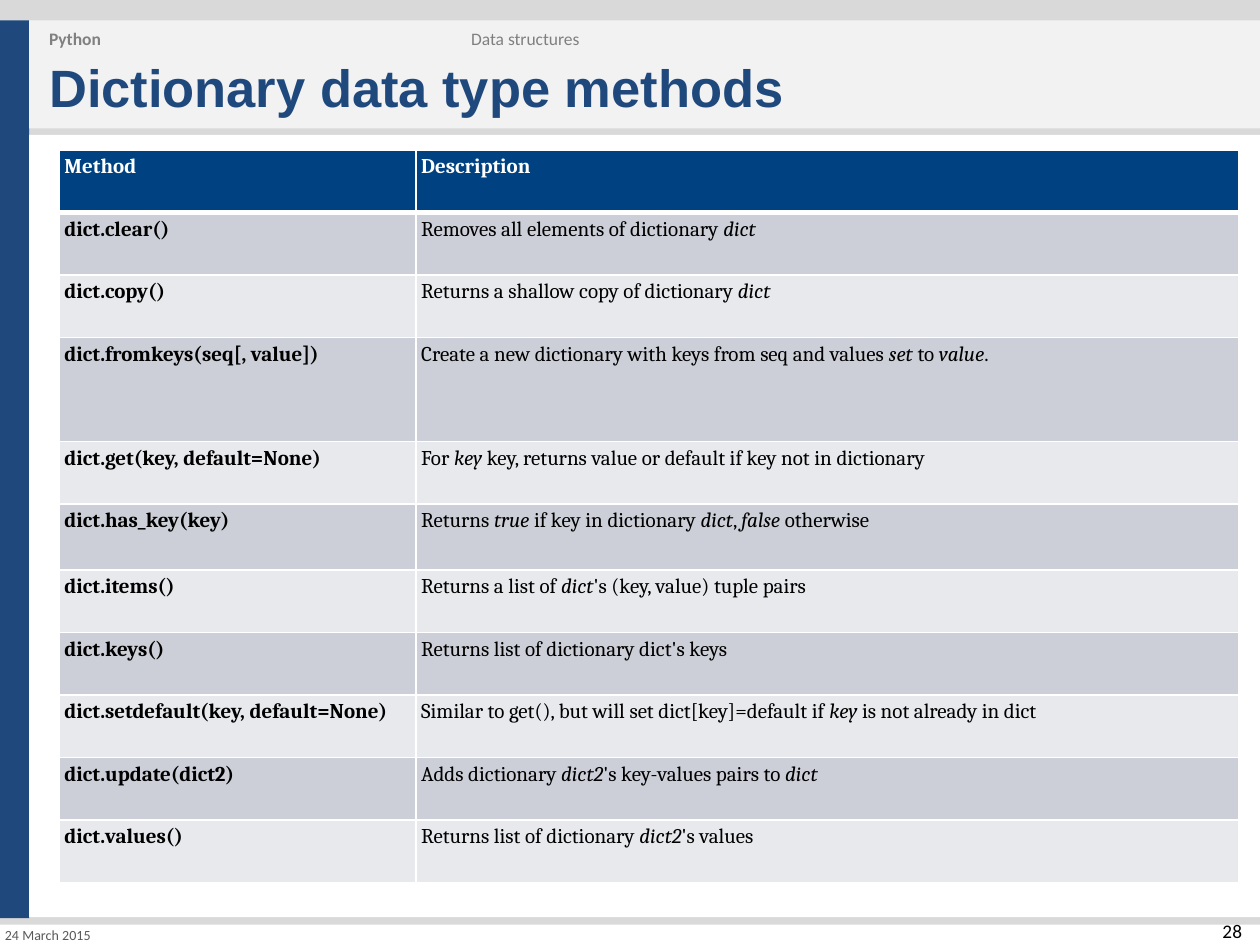
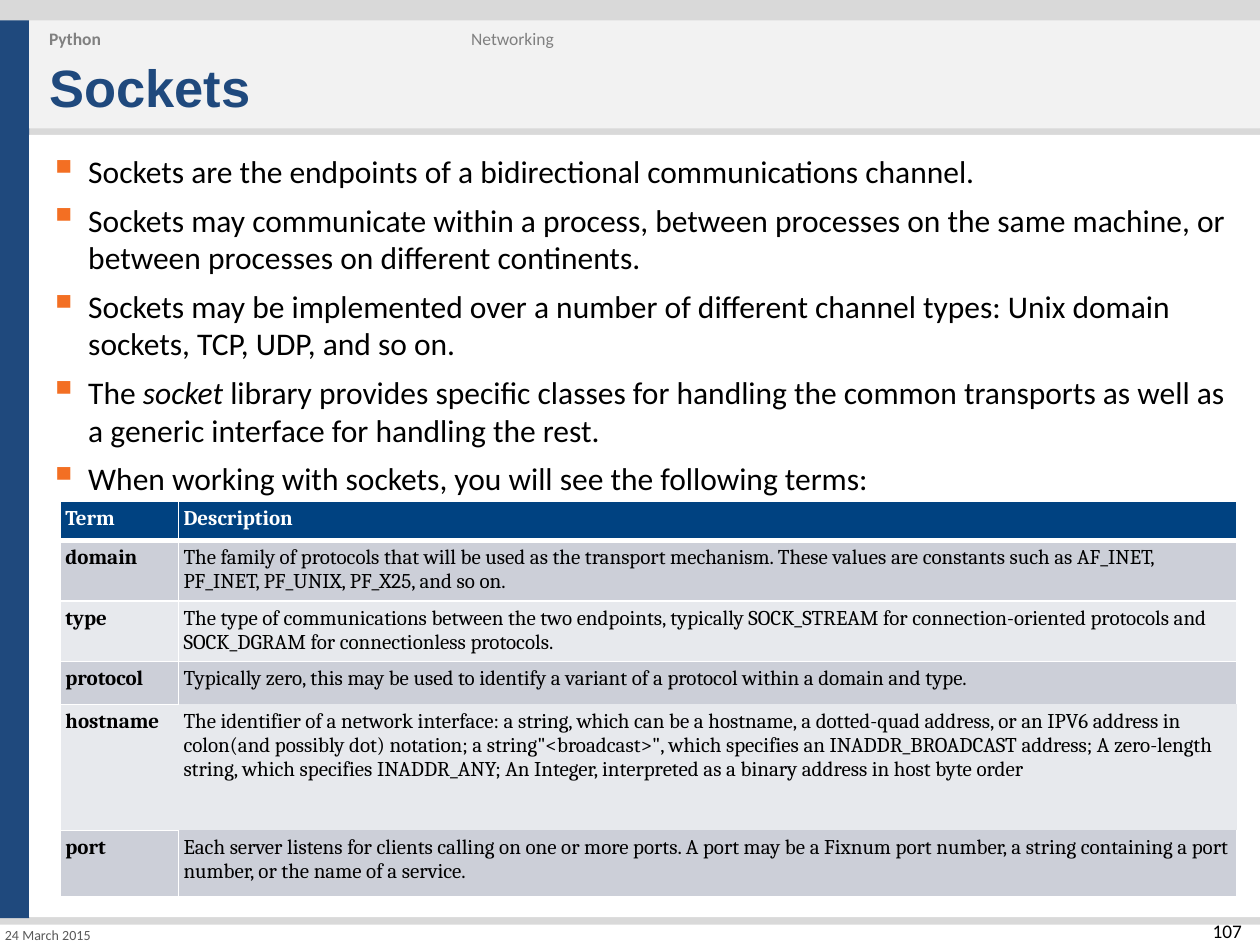
from lxml import etree
from pptx import Presentation
from pptx.dml.color import RGBColor
from pptx.enum.shapes import MSO_SHAPE as SHAPE
from pptx.enum.text import MSO_ANCHOR as ANCHOR, MSO_AUTO_SIZE as AUTO, PP_ALIGN as ALIGN
from pptx.oxml.ns import qn
from pptx.util import Cm, Pt

WIDTH, HEIGHT = 25.4, 19.05
TITLE_ONLY = 5
NAVY, HEADER_BLUE, ORANGE = "1F497D", "004281", "F36F23"
WHITE, BLACK, PALE, GREY = "FFFFFF", "000000", "F2F2F2", "D9D9D9"
ROW_FILLS = ("CCCFD8", "E7E9ED")

# left, top, width, height, colour
BANDS = [
    (0, 0.41, 0.59, 18.1, NAVY),
    (0.59, 0.41, 24.81, 2.18, PALE),
    (0.59, 2.72, 24.81, 15.77, WHITE),
    (0, 18.64, WIDTH, 0.41, WHITE),
]
# border tag -> step to the neighbouring cell
EDGES = {"a:lnL": (0, -1), "a:lnR": (0, 1), "a:lnT": (-1, 0), "a:lnB": (1, 0)}

TITLE = dict(name="Arial", size=Pt(30), bold=True, color=NAVY)
CRUMB = dict(name="Calibri", size=Pt(10), color="808080")
BODY = dict(name="Calibri", size=Pt(18), color=BLACK)
DATE = dict(name="Calibri", size=Pt(8), color="595959")
NUMBER = dict(name="Calibri", size=Pt(11), color=BLACK)
CELL = dict(name="Cambria", size=Pt(12), color=BLACK)


def rgb(hex_string):
    return RGBColor.from_string(hex_string)


def put(obj, **values):
    for name, value in values.items():
        setattr(obj, name, value)


def write(p, text, style):
    """Fill a paragraph; *starred* parts become italic."""
    for i, part in enumerate(text.split("*")):
        if not part:
            continue
        r = p.add_run()
        r.text = part
        for name, value in style.items():
            if name == "color":
                r.font.color.rgb = rgb(value)
            else:
                setattr(r.font, name, value)
        r.font.italic = i % 2 == 1


def sub(parent, tag, **attributes):
    return etree.SubElement(parent, qn(tag), attributes)


def set_border(tcPr, tag, points):
    """Draw one white cell edge, or hide it when points is 0."""
    ln = sub(tcPr, tag, w=str(Pt(points)))
    if points:
        sub(sub(ln, "a:solidFill"), "a:srgbClr", val=WHITE)
    else:
        sub(ln, "a:noFill")


class Deck:
    def __init__(self):
        self.prs = Presentation()
        put(self.prs, slide_width=Cm(WIDTH), slide_height=Cm(HEIGHT))
        fill = self.prs.slide_master.background.fill
        fill.solid()
        fill.fore_color.rgb = rgb(GREY)
        self.s = None

    def slide(self, title, topic, number):
        self.s = self.prs.slides.add_slide(self.prs.slide_layouts[TITLE_ONLY])
        for band in BANDS:
            self.band(*band)
        self.title(title)
        self.text("Python", 0.79, 0.36, 8.58, 0.84, CRUMB | dict(bold=True))
        self.text(topic, 9.3, 0.36, 10.34, 0.84, CRUMB)
        self.text("24 March 2015", 0, 18.64, 3.18, 0.41, DATE, inset=0.1)
        self.text(number, 23.09, 18.54, 1.95, 0.71, NUMBER, inset=0,
                  anchor=ANCHOR.TOP, align=ALIGN.RIGHT)

    def band(self, x, y, w, h, color):
        sp = self.s.shapes.add_shape(SHAPE.RECTANGLE, Cm(x), Cm(y), Cm(w), Cm(h))
        sp.shadow.inherit = False
        sp.fill.solid()
        sp.fill.fore_color.rgb = rgb(color)
        sp.line.fill.background()

    def frame(self, sp, inset, anchor):
        tf = sp.text_frame
        put(tf, word_wrap=True, auto_size=AUTO.NONE, vertical_anchor=anchor,
            margin_left=Cm(inset), margin_right=Cm(inset),
            margin_top=Cm(inset), margin_bottom=Cm(inset))
        return tf

    def title(self, text):
        sp = self.s.shapes.title
        sp._element.getparent().append(sp._element)  # bring in front of the bands
        put(sp, left=Cm(0.79), top=Cm(0.91), width=Cm(24.23), height=Cm(1.68))
        p = self.frame(sp, 0.2, ANCHOR.BOTTOM).paragraphs[0]
        p.alignment = ALIGN.LEFT
        write(p, text, TITLE)

    def text(self, text, x, y, w, h, style, inset=0.2,
             anchor=ANCHOR.MIDDLE, align=ALIGN.LEFT):
        sp = self.s.shapes.add_textbox(Cm(x), Cm(y), Cm(w), Cm(h))
        p = self.frame(sp, inset, anchor).paragraphs[0]
        p.alignment = align
        write(p, text, style)

    def bullets(self, items, x, y, w, h):
        sp = self.s.shapes.add_textbox(Cm(x), Cm(y), Cm(w), Cm(h))
        tf = self.frame(sp, 0.2, ANCHOR.TOP)
        for i, item in enumerate(items):
            p = tf.add_paragraph() if i else tf.paragraphs[0]
            p.space_after = Pt(6)
            pPr = p._p.get_or_add_pPr()
            pPr.set("marL", str(Cm(0.79)))
            pPr.set("indent", str(-Cm(0.79)))
            sub(sub(pPr, "a:buClr"), "a:srgbClr", val=ORANGE)
            sub(pPr, "a:buSzPct", val="125000")
            sub(pPr, "a:buChar", char="▪")
            write(p, item, BODY)

    def table(self, rows, x, y, widths, heights, open_cell=None):
        """Banded table; open_cell (row, column) has no borders around it."""
        table = self.s.shapes.add_table(
            len(rows), len(widths), Cm(x), Cm(y), Cm(sum(widths)), Cm(sum(heights))).table
        for column, width in zip(table.columns, widths):
            column.width = Cm(width)
        for i, (row, height) in enumerate(zip(rows, heights)):
            table.rows[i].height = Cm(height)
            for j, text in enumerate(row):
                self.cell(table.cell(i, j), text, i, j, open_cell)

    def cell(self, cell, text, i, j, open_cell):
        header = i == 0
        put(cell, margin_left=Cm(0.1), margin_right=Cm(0.1),
            margin_top=Cm(0.1), margin_bottom=Cm(0.1), vertical_anchor=ANCHOR.TOP)
        tcPr = cell._tc.get_or_add_tcPr()
        for tag, (di, dj) in EDGES.items():
            neighbour = (i + di, j + dj)
            under_header = {i, neighbour[0]} == {0, 1}
            hidden = open_cell in ((i, j), neighbour)
            set_border(tcPr, tag, 0 if hidden else 3 if under_header else 1)
        cell.fill.solid()
        cell.fill.fore_color.rgb = rgb(HEADER_BLUE if header else ROW_FILLS[(i - 1) % 2])
        style = CELL | dict(bold=header or j == 0, color=WHITE if header else BLACK)
        write(cell.text_frame.paragraphs[0], text, style)


METHODS = [
    ("Method", "Description"),
    ("dict.clear()", "Removes all elements of dictionary *dict*"),
    ("dict.copy()", "Returns a shallow copy of dictionary *dict*"),
    ("dict.fromkeys(seq[, value])",
     "Create a new dictionary with keys from seq and values *set* to *value*."),
    ("dict.get(key, default=None)",
     "For *key* key, returns value or default if key not in dictionary"),
    ("dict.has_key(key)", "Returns *true* if key in dictionary *dict*, *false* otherwise"),
    ("dict.items()", "Returns a list of *dict*'s (key, value) tuple pairs"),
    ("dict.keys()", "Returns list of dictionary dict's keys"),
    ("dict.setdefault(key, default=None)",
     "Similar to get(), but will set dict[key]=default if *key* is not already in dict"),
    ("dict.update(dict2)", "Adds dictionary *dict2*'s key-values pairs to *dict*"),
    ("dict.values()", "Returns list of dictionary *dict2*'s values"),
]

SOCKET_POINTS = [
    "Sockets are the endpoints of a bidirectional communications channel.",
    "Sockets may communicate within a process, between processes on the same machine, "
    "or between processes on different continents.",
    "Sockets may be implemented over a number of different channel types: "
    "Unix domain sockets, TCP, UDP, and so on.",
    "The *socket* library provides specific classes for handling the common transports "
    "as well as a generic interface for handling the rest.",
    "When working with sockets, you will see the following terms:",
]

SOCKET_TERMS = [
    ("Term", "Description"),
    ("domain",
     "The family of protocols that will be used as the transport mechanism. These values "
     "are constants such as AF_INET, PF_INET, PF_UNIX, PF_X25, and so on."),
    ("type",
     "The type of communications between the two endpoints, typically SOCK_STREAM for "
     "connection-oriented protocols and SOCK_DGRAM for connectionless protocols."),
    ("protocol",
     "Typically zero, this may be used to identify a variant of a protocol within a "
     "domain and type."),
    ("hostname",
     "The identifier of a network interface: a string, which can be a hostname, a "
     "dotted-quad address, or an IPV6 address in colon(and possibly dot) notation; a "
     'string"<broadcast>", which specifies an INADDR_BROADCAST address; A zero-length '
     "string, which specifies INADDR_ANY; An Integer, interpreted as a binary address in "
     "host byte order"),
    ("port",
     "Each server listens for clients calling on one or more ports. A port may be a Fixnum "
     "port number, a string containing a port number, or the name of a service."),
]


def main():
    deck = Deck()

    deck.slide("Dictionary data type methods", "Data structures", "28")
    heights = [1.26] * 3 + [2.1, 1.26, 1.33] + [1.26] * 5
    deck.table(METHODS, 1.2, 3.02, [7.19, 16.59], heights)

    deck.slide("Sockets", "Networking", "107")
    deck.bullets(SOCKET_POINTS, 0.79, 2.87, 24.18, 8.41)
    deck.table(SOCKET_TERMS, 1.22, 10.11, [2.38, 21.33],
               [0.79, 1.22, 1.22, 0.86, 2.54, 1.33], open_cell=(4, 1))

    deck.prs.save("out.pptx")


if __name__ == "__main__":
    main()
